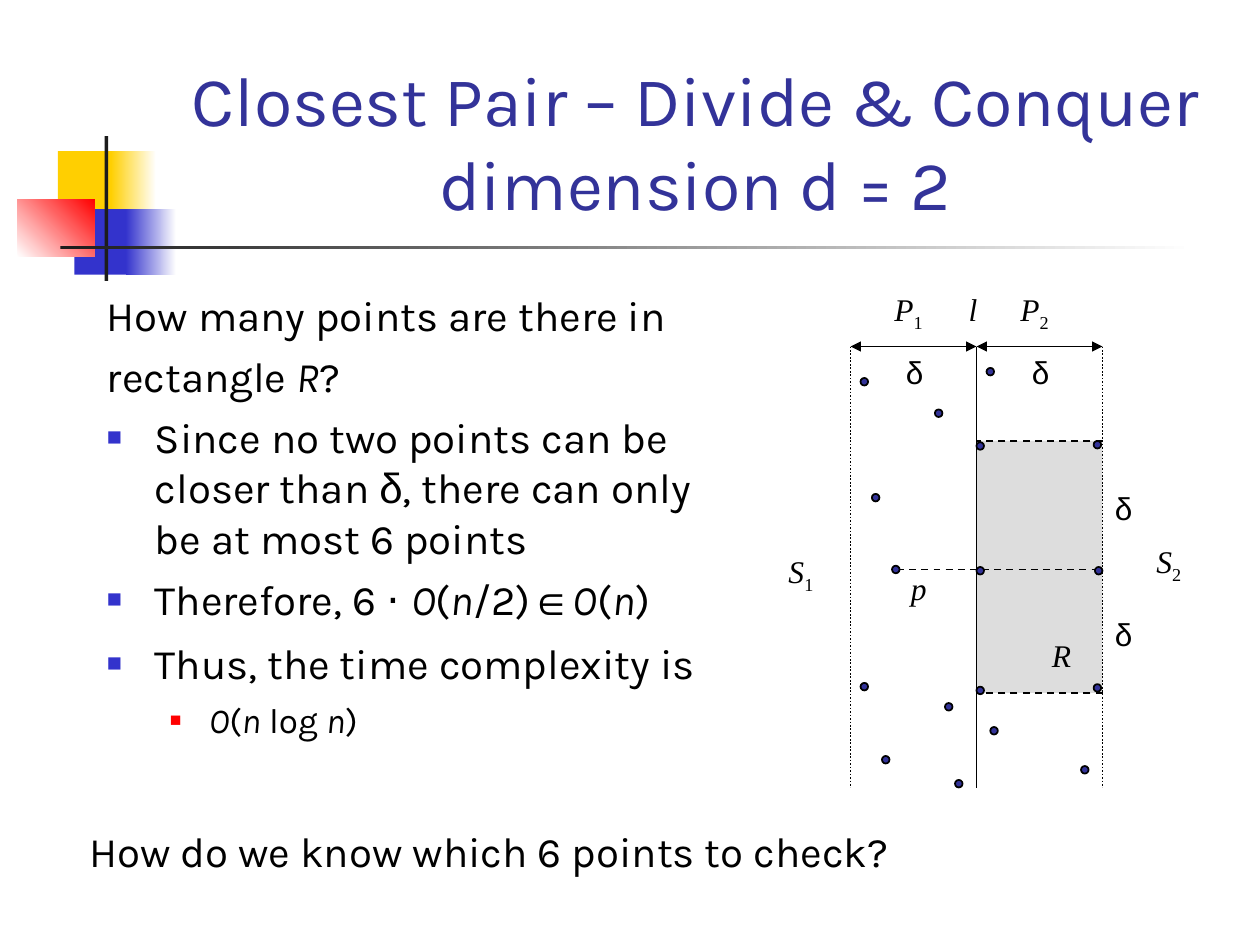
from lxml import etree
from pptx import Presentation
from pptx.dml.color import RGBColor
from pptx.enum.dml import MSO_LINE
from pptx.enum.shapes import MSO_CONNECTOR, MSO_SHAPE
from pptx.enum.text import MSO_ANCHOR, MSO_AUTO_SIZE, PP_ALIGN
from pptx.oxml.ns import qn
from pptx.util import Pt

PX = 9144  # 100 px to the inch
RECT, OVAL = MSO_SHAPE.RECTANGLE, MSO_SHAPE.OVAL
STRAIGHT = MSO_CONNECTOR.STRAIGHT
DASH, DOTS = MSO_LINE.DASH, MSO_LINE.ROUND_DOT
CENTER, BOTTOM = PP_ALIGN.CENTER, MSO_ANCHOR.BOTTOM
FIT_SHAPE = MSO_AUTO_SIZE.SHAPE_TO_FIT_TEXT

THEME = {
    "sans": "Karla", "serif": "Times New Roman", "symbol": "Arial",
    "title": 40, "body": 24, "sub": 20, "label": 18,
    "black": "000000", "white": "FFFFFF", "navy": "333399",
    "yellow": "FFCF01", "blue": "3333CC", "red": "FF0000",
    "dark": "1C1C1C", "gray": "DDDDDD",
}


def color(name):
    return RGBColor.from_string(THEME[name])


def add_runs(p, runs, font, size, ink="black"):
    """Add (text, marks) runs; marks: i italic, s subscript, y symbol font."""
    for text, marks in runs:
        r = p.add_run()
        r.text = text
        r.font.name = THEME["symbol" if "y" in marks else font]
        r.font.size = Pt(THEME[size])
        r.font.color.rgb = color(ink)
        r.font.italic = "i" in marks
        if "s" in marks:
            r.font._element.set("baseline", "-25000")


prs = Presentation()
prs.slide_width, prs.slide_height = 1000 * PX, 750 * PX
s = prs.slides.add_slide(prs.slide_layouts[6])

# Filled blocks: box, colours (two make a gradient), gradient angle
blocks = [
    ((46, 120, 48, 52), ["yellow"], 0),
    ((88, 120, 36, 52), ["yellow", "white"], 0),
    ((59, 166, 46, 52), ["blue"], 0),
    ((100, 166, 40, 52), ["blue", "white"], 0),
    ((14, 158, 61, 46), ["white", "red"], 45),
    ((83, 108, 3, 115), ["dark"], 0),
    ((48, 195, 900, 3), ["dark", "white"], 0),
    ((775, 350, 100, 200), ["gray"], 0),
]
for box, colors, angle in blocks:
    sp = s.shapes.add_shape(RECT, *(v * PX for v in box))
    sp.shadow.inherit = False
    sp.line.fill.background()
    if len(colors) == 1:
        sp.fill.solid()
        sp.fill.fore_color.rgb = color(colors[0])
    else:
        sp.fill.gradient()
        sp.fill.gradient_angle = angle
        for stop, name in zip(sp.fill.gradient_stops, colors):
            stop.color.rgb = color(name)

# Title
tf = s.shapes.add_textbox(126 * PX, 23 * PX, 852 * PX, 160 * PX).text_frame
tf.word_wrap = True
tf.vertical_anchor = BOTTOM
p = tf.paragraphs[0]
p.alignment = CENTER
add_runs(p, [("Closest Pair – Divide & Conquer", "")], "sans", "title", "navy")
p.add_line_break()
add_runs(p, [("dimension d = 2", "")], "sans", "title", "navy")

# Body: runs, type size, space before, left margin, hang, bullet (colour, %)
main_bullet, sub_bullet = ("blue", 60), ("red", 55)
body = [
    ([("How many points are there in", "")], "body", 0, 38, 38, None),
    ([("rectangle ", ""), ("R", "i"), ("?", "")], "body", 6, 38, 38, None),
    ([("Since no two points can be closer than ", ""), ("δ", "y"),
      (", there can only be at most 6 points", "")],
     "body", 6, 38, 38, main_bullet),
    ([("Therefore, 6 ", ""), ("⋅ ", "y"), ("O", "i"), ("(", ""), ("n", "i"),
      ("/2)", ""), ("∈", "y"), ("O", "i"), ("(", ""), ("n", "i"), (")", "")],
     "body", 6, 38, 38, main_bullet),
    ([("Thus, the time complexity is", "")], "body", 8, 38, 38, main_bullet),
    ([("O", "i"), ("(", ""), ("n", "i"), (" log ", ""), ("n", "i"), (")", "")],
     "sub", 6, 81, 31, sub_bullet),
]
tf = s.shapes.add_textbox(75 * PX, 225 * PX, 513 * PX, 450 * PX).text_frame
tf.word_wrap = True
for i, (runs, size, before, margin, hang, bullet) in enumerate(body):
    p = tf.add_paragraph() if i else tf.paragraphs[0]
    p.space_before = Pt(before)
    pPr = p._p.get_or_add_pPr()
    pPr.set("marL", str(margin * PX))
    pPr.set("indent", str(-hang * PX))
    if bullet:
        name, percent = bullet
        clr = etree.SubElement(pPr, qn("a:buClr"))
        etree.SubElement(clr, qn("a:srgbClr"), val=THEME[name])
        etree.SubElement(pPr, qn("a:buSzPct"), val=str(percent * 1000))
        etree.SubElement(pPr, qn("a:buFont"), typeface=THEME["symbol"])
        etree.SubElement(pPr, qn("a:buChar"), char="■")
    add_runs(p, runs, "sans", size)

# Diagram lines: from, to, dash, arrowheads
left, mid, right, top, bottom = 675, 775, 875, 275, 625
lines = [
    ((mid, top), (mid, bottom), None, False),
    ((left, top), (left, bottom), DOTS, False),
    ((right, top), (right, bottom), DOTS, False),
    ((712, 452), (right, 452), DASH, False),
    ((right, 550), (mid, 550), DASH, False),
    ((right, 350), (mid, 350), DASH, False),
    ((left, top), (mid, top), None, True),
    ((mid, top), (right, top), None, True),
]
for start, end, dash, arrows in lines:
    c = s.shapes.add_connector(STRAIGHT, *(v * PX for v in start + end))
    c.line.color.rgb = color("black")
    c.line.width = Pt(1)
    if dash:
        c.line.dash_style = dash
    spPr = c._element.spPr
    if arrows:
        for tag in ("a:headEnd", "a:tailEnd"):
            etree.SubElement(spPr.find(qn("a:ln")), qn(tag), type="triangle")
    etree.SubElement(spPr, qn("a:effectLst"))

# Points, by top left corner
points = [
    (683, 300), (742, 325), (692, 392), (708, 449), (683, 542), (750, 558),
    (700, 600), (758, 619), (783, 292), (786, 577), (858, 608),
    (775, 351), (868, 350), (775, 450), (869, 450), (775, 545), (868, 543),
]
for x, y in points:
    sp = s.shapes.add_shape(OVAL, x * PX, y * PX, 6 * PX, 6 * PX)
    sp.shadow.inherit = False
    sp.fill.solid()
    sp.fill.fore_color.rgb = color("navy")
    sp.line.color.rgb = color("black")
    sp.line.width = Pt(1)

# Labels and closing question
P, S, delta = ("P", "i"), ("S", "i"), [("δ", "y")]
labels = [
    ((700, 225, 46, 44), [P, ("1", "s")], "serif", "label"),
    ((759, 225, 27, 40), [("l", "i")], "serif", "label"),
    ((800, 225, 46, 44), [P, ("2", "s")], "serif", "label"),
    ((616, 433, 43, 44), [S, ("1", "s")], "serif", "label"),
    ((908, 425, 43, 44), [S, ("2", "s")], "serif", "label"),
    ((713, 447, 32, 40), [("p", "i")], "serif", "label"),
    ((825, 500, 35, 40), [("R", "i")], "serif", "label"),
    ((709, 275, 32, 40), delta, "symbol", "label"),
    ((809, 275, 32, 40), delta, "symbol", "label"),
    ((875, 383, 32, 40), delta, "symbol", "label"),
    ((875, 483, 32, 40), delta, "symbol", "label"),
    ((61, 650, 675, 50), [("How do we know which 6 points to check?", "")],
     "sans", "body"),
]
for box, runs, font, size in labels:
    tf = s.shapes.add_textbox(*(v * PX for v in box)).text_frame
    tf.word_wrap = False
    tf.auto_size = FIT_SHAPE
    add_runs(tf.paragraphs[0], runs, font, size)

prs.save("out.pptx")
